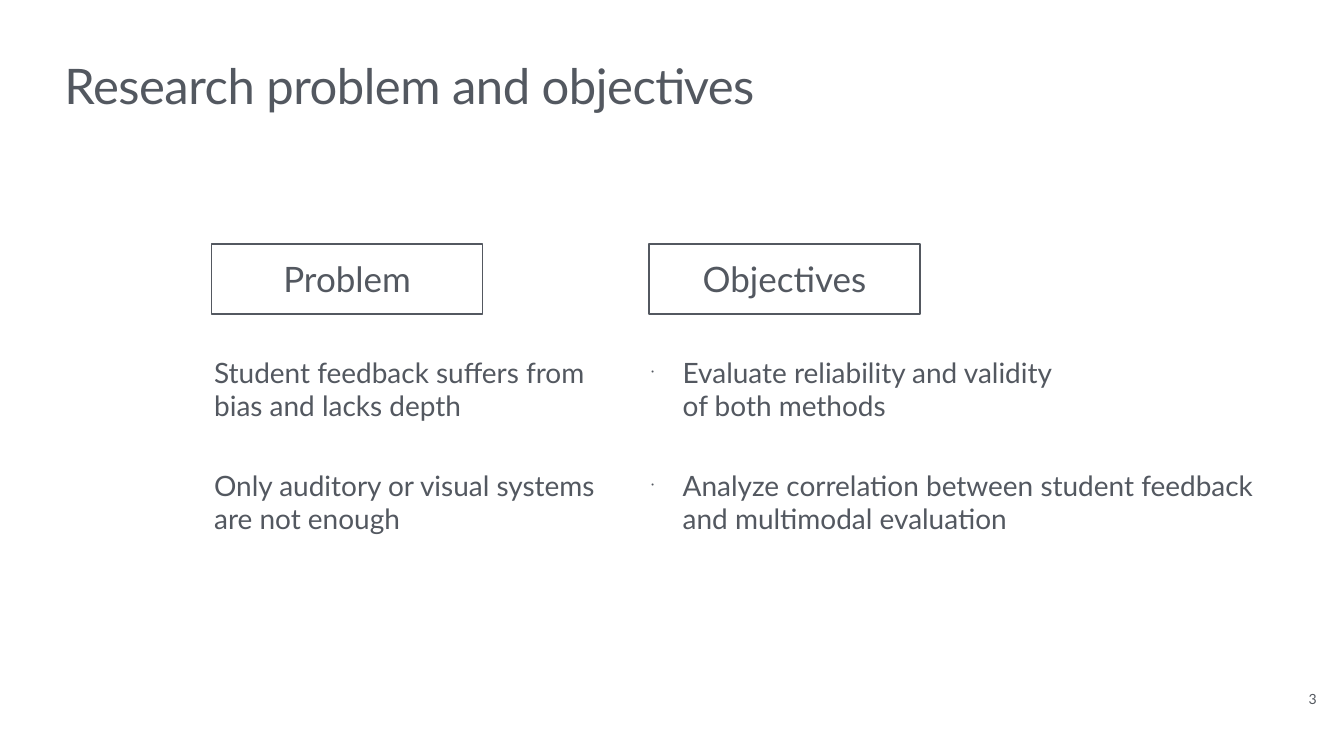
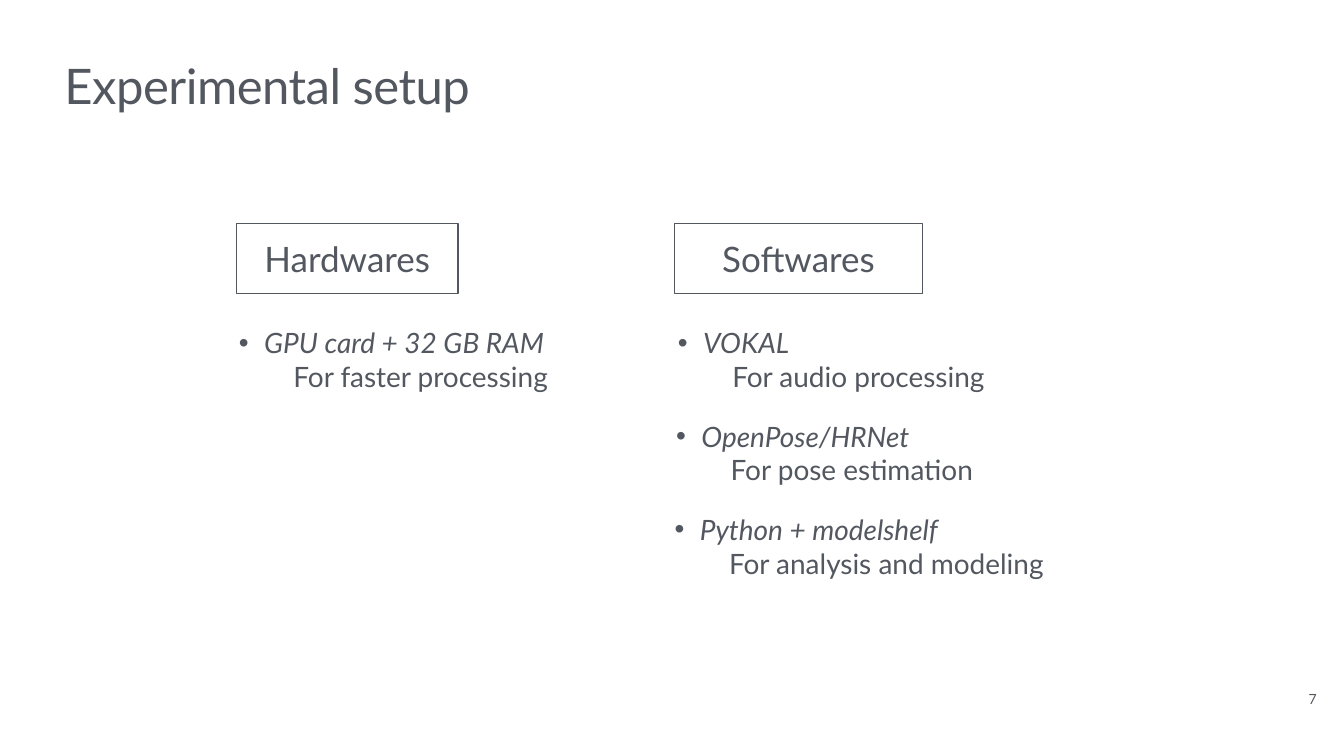
import pptx
import pptx.dml.color
import pptx.enum.shapes
import pptx.enum.text
import pptx.oxml.ns
import pptx.util
import lxml.etree

INK, GREY, PAPER = "535860", "53585F", "FFFFFF"
WIDTH, HEIGHT = pptx.util.Inches(26.67), pptx.util.Inches(15)
COLUMNS = ROWS = 100
PAD = pptx.util.Inches(0.06)
TITLE_AT = (4.57, 7.07)
TITLE_ROWS, HEAD_ROWS, ITEM_ROWS = 9.2, 9.27, 10.33
COMPARISON = 4
ALIGN = pptx.enum.text.PP_ALIGN
ANCHOR = pptx.enum.text.MSO_ANCHOR


def rgb(value):
    return pptx.dml.color.RGBColor.from_string(value)


def apply(target, values):
    for name, value in values.items():
        setattr(target, name, value)


def grid(x, y, w, h):
    return {"left": int(WIDTH * x / COLUMNS), "top": int(HEIGHT * y / ROWS),
            "width": int(WIDTH * w / COLUMNS), "height": int(HEIGHT * h / ROWS)}


def frame(sp, anchor=ANCHOR.MIDDLE, wrap=True):
    tf = sp.text_frame
    apply(tf, {"margin_left": PAD, "margin_right": PAD, "margin_top": PAD,
               "margin_bottom": PAD, "vertical_anchor": anchor,
               "word_wrap": wrap, "auto_size": pptx.enum.text.MSO_AUTO_SIZE.NONE})
    return tf


def write(p, text, size, color=INK, align=ALIGN.LEFT, italic=False, spacing=1.0):
    apply(p, {"alignment": align, "line_spacing": spacing,
              "space_before": pptx.util.Pt(0)})
    r = p.add_run()
    r.text = text
    apply(r.font, {"name": "Lato", "size": pptx.util.Pt(size),
                   "bold": False, "italic": italic})
    r.font.color.rgb = rgb(color)
    return r


def bullet(p, indent=0.0, hanging=0.0, mark=None, percent=100):
    pPr = p._p.get_or_add_pPr()
    pPr.set("marL", str(pptx.util.Inches(indent)))
    pPr.set("indent", str(-pptx.util.Inches(hanging)))
    parts = [("a:buNone", {})]
    if mark:
        parts = [("a:buSzPct", {"val": str(percent * 1000)}),
                 ("a:buFont", {"typeface": "Arial"}),
                 ("a:buChar", {"char": mark})]
    for tag, values in parts:
        lxml.etree.SubElement(pPr, pptx.oxml.ns.qn(tag), values)


def add_title(s, text, width):
    sp = s.shapes.title
    apply(sp, grid(*TITLE_AT, width, TITLE_ROWS))
    p = frame(sp, wrap=False).paragraphs[0]
    r = write(p, text, 70, spacing=0.9)
    r.font._element.set("spc", "-70")


def add_number(s, number):
    sp = s.shapes.add_textbox(*grid(97.15, 90.8, 1.05, 3.13).values())
    p = frame(sp, ANCHOR.BOTTOM, False).paragraphs[0]
    write(p, str(number), 20, GREY, ALIGN.RIGHT)


def add_heading(s, text, x, y, width):
    sp = s.shapes.add_shape(pptx.enum.shapes.MSO_SHAPE.RECTANGLE,
                            *grid(x, y, width, HEAD_ROWS).values())
    sp.shadow.inherit = False
    sp.fill.solid()
    sp.fill.fore_color.rgb = rgb(PAPER)
    sp.line.color.rgb = rgb(INK)
    sp.line.width = pptx.util.Pt(2)
    write(frame(sp).paragraphs[0], text, 50, align=ALIGN.CENTER)


def place_item(sp, x, y, width):
    apply(sp, grid(x, y, width, ITEM_ROWS))
    return frame(sp)


def add_statement(sp, text, x, y, width, marked):
    p = place_item(sp, x, y, width).paragraphs[0]
    write(p, text, 40)
    if marked:
        bullet(p, 0.62, 0.62, "•", 27)
    else:
        bullet(p)


def add_tool(sp, name, purpose, x, y):
    tf = place_item(sp, x, y, 32.47)
    p = tf.paragraphs[0]
    write(p, name, 40, italic=True)
    bullet(p, 0.5, 0.5, "•")
    p = tf.add_paragraph()
    write(p, purpose, 40)
    bullet(p, 1.08)


def new_slide(prs, title, title_width, number):
    s = prs.slides.add_slide(prs.slide_layouts[COMPARISON])
    add_title(s, title, title_width)
    add_number(s, number)
    bodies = [sp for sp in s.placeholders if sp.placeholder_format.idx in range(1, 5)]
    return s, iter(bodies)


def problem_slide(prs):
    s, bodies = new_slide(prs, "Research problem and objectives", 57.56, 3)
    columns = [
        ("Problem", 15.75, False,
         [("Student feedback suffers from bias and lacks depth", 28.83),
          ("Only auditory or visual systems are not enough", 28.83)]),
        ("Objectives", 48.29, True,
         [("Evaluate reliability and validity of both methods", 32.43),
          ("Analyze correlation between student feedback and multimodal evaluation",
           48.03)]),
    ]
    for heading, x, marked, statements in columns:
        add_heading(s, heading, x, 32.27, 20.17)
        for row, (text, width) in enumerate(statements):
            add_statement(next(bodies), text, x - 0.04, 46.27 + 14.93 * row,
                          width, marked)


def setup_slide(prs):
    s, bodies = new_slide(prs, "Experimental setup", 34.08, 7)
    columns = [
        ("Hardwares", 17.59, 16.5, 17.55,
         [("GPU card + 32 GB RAM", "For faster processing")]),
        ("Softwares", 50.17, 18.49, 50.21,
         [("VOKAL", "For audio processing"),
          ("OpenPose/HRNet", "For pose estimation"),
          ("Python + modelshelf", "For analysis and modeling")]),
    ]
    for heading, x, width, item_x, tools in columns:
        add_heading(s, heading, x, 29.53, width)
        for row, (name, purpose) in enumerate(tools):
            add_tool(next(bodies), name, purpose,
                     item_x - 0.12 * row, 42.4 + 12.33 * row)


def main():
    prs = pptx.Presentation()
    apply(prs, {"slide_width": WIDTH, "slide_height": HEIGHT})
    problem_slide(prs)
    setup_slide(prs)
    prs.save("out.pptx")


if __name__ == "__main__":
    main()
